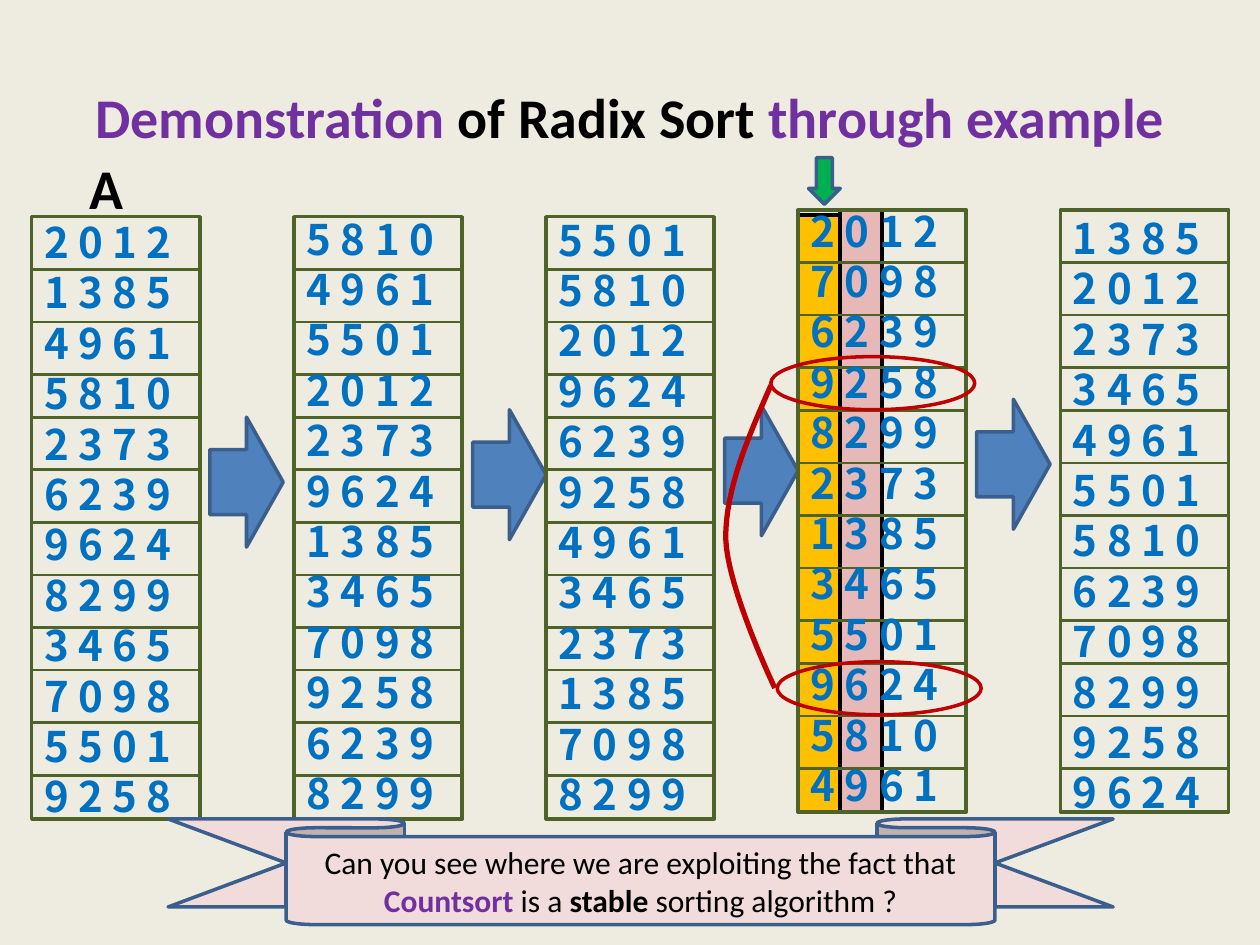
from itertools import accumulate
from lxml import etree
from pptx import Presentation
from pptx import util as u
from pptx.dml.color import RGBColor
from pptx.enum import shapes, text
from pptx.oxml.ns import qn

Cm, Pt = u.Cm, u.Pt
KIND = shapes.MSO_SHAPE
HUES = {
    "back": "EEECE1", "ink": "000000", "violet": "7030A0", "digit": "0070C0",
    "grid": "4F6228", "blue": "4F81BD", "edge": "3A5F8C", "green": "00B050",
    "gold": "FFC000", "pink": "E6B9B8", "pale": "F2DCDB", "red": "C00000",
}
WIDE, TALL = 3.39, 12.14
ROWS = [0.86 if row in (3, 8) else 1.06 for row in range(11)]

# Left, top, text shift and numbers of each pass
PASSES = [
    (0.64, 4.37, -0.13, "2012 1385 4961 5810 2373 6239 9624 8299 3465 7098 5501 9258"),
    (5.93, 4.37, -0.20, "5810 4961 5501 2012 2373 9624 1385 3465 7098 9258 6239 8299"),
    (11.01, 4.37, -0.18, "5501 5810 2012 9624 6239 9258 4961 3465 2373 1385 7098 8299"),
    (16.09, 4.23, -0.22, "2012 7098 6239 9258 8299 2373 1385 3465 5501 9624 5810 4961"),
    (21.38, 4.23, -0.07, "1385 2012 2373 3465 4961 5501 5810 6239 7098 8299 9258 9624"),
]


def hue(name):
    return RGBColor.from_string(HUES[name])


def style(part, fill, line, width):
    part.shadow.inherit = False
    if fill:
        part.fill.solid()
        part.fill.fore_color.rgb = hue(fill)
    else:
        part.fill.background()
    part.line.color.rgb = hue(line)
    part.line.width = Pt(width)


def draw(tree, kind, box, fill=None, line="edge", width=2):
    part = tree.add_shape(kind, *map(Cm, box))
    style(part, fill, line, width)
    return part


def write(para, runs, size):
    para.alignment = text.PP_ALIGN.CENTER
    para.font.size = Pt(size)
    para.font.name = "Calibri"
    for words, name, bold in runs:
        run = para.add_run()
        run.text = words
        run.font.color.rgb = hue(name)
        run.font.bold = bold


def label(tree, box, lines, size, face, name, wrap=True):
    frame = tree.add_textbox(*map(Cm, box)).text_frame
    frame.word_wrap = wrap
    frame.auto_size = text.MSO_AUTO_SIZE.SHAPE_TO_FIT_TEXT
    frame.text = "\n".join(lines)
    for para in frame.paragraphs:
        para.font.size = Pt(size)
        para.font.name = face
        para.font.bold = True
        para.font.color.rgb = hue(name)
    return frame


def grid(tree, left, top):
    group = tree.add_group_shape().shapes
    draw(group, KIND.RECTANGLE, (left, top, WIDE, TALL), line="grid")
    for drop in accumulate(ROWS):
        y = Cm(top + drop)
        rule = group.add_connector(
            shapes.MSO_CONNECTOR.STRAIGHT, Cm(left), y, Cm(left + WIDE), y)
        rule.line.color.rgb = hue("grid")
        rule.line.width = Pt(1.5)
        etree.SubElement(rule.element.spPr, qn("a:effectLst"))


def column(tree, left, top, shift, nums):
    grid(tree, left, top)
    lines = [" ".join(num) for num in nums.split()]
    frame = label(tree, (left, top + shift, 3.6, 12.57), lines, 24,
                  "Noto Sans CJK KR", "digit")
    for para in frame.paragraphs:
        para.line_spacing = Pt(28.8)


def curve(ends, steps=16):
    a, b, c, d = ends
    for step in range(1, steps + 1):
        t = step / steps
        s = 1 - t
        yield tuple(s**3 * i + 3 * s * s * t * j + 3 * s * t * t * k + t**3 * m
                    for i, j, k, m in zip(a, b, c, d))


def marks(tree, left, top):
    group = tree.add_group_shape().shapes
    for x, y in ((0.91, 0), (1.04, 6.15)):
        draw(group, KIND.OVAL, (left + x, top + y, 4.11, 1.07), line="red")
    start, mid, end = (0.91, 0.58), (0, 3.66), (0.99, 6.68)
    dots = [*curve((start, (0.46, 1.62), (0, 2.64), mid)),
            *curve((mid, (0.03, 4.67), (0.99, 6.68), end))]
    spots = [(Cm(left + x), Cm(top + y)) for x, y in [start, *dots]]
    pen = group.build_freeform(*spots[0])
    pen.add_line_segments(spots[1:], close=False)
    style(pen.convert_to_shape(), None, "red", 3)


def banner(tree, box):
    part = draw(tree, KIND.DOWN_RIBBON, box, "pale")
    part.adjustments[0], part.adjustments[1] = 0.167, 0.75
    frame = part.text_frame
    frame.word_wrap = True
    frame.vertical_anchor = text.MSO_ANCHOR.MIDDLE
    write(frame.paragraphs[0], [
        ("Can you see where we are exploiting the fact that ", "ink", False),
        ("Countsort ", "violet", True), ("is a ", "ink", False),
        ("stable", "ink", True), (" sorting algorithm ?", "ink", False)], 18)


def heading(title, box):
    title.left, title.top, title.width, title.height = map(Cm, box)
    title.text_frame.vertical_anchor = text.MSO_ANCHOR.MIDDLE
    write(title.text_frame.paragraphs[0], [
        ("Demonstration ", "violet", True), ("of Radix Sort", "ink", True),
        (" through example", "violet", True)], 32)


def radix(deck):
    slide = deck.slides.add_slide(deck.slide_layouts[5])
    slide.background.fill.solid()
    slide.background.fill.fore_color.rgb = hue("back")
    tree = slide.shapes
    heading(tree.title, (1.27, 0.76, 22.86, 3.18))
    # Highlighted digits and pointer
    draw(tree, KIND.RECTANGLE, (16.94, 4.23, 0.85, TALL), "pink", "ink", 2.25)
    draw(tree, KIND.RECTANGLE, (16.09, 4.34, 0.85, 12.03), "gold", "ink", 2.25)
    draw(tree, KIND.DOWN_ARROW, (16.3, 3.18, 0.64, 0.94), "green")
    # Arrows between passes
    for left, top in ((4.23, 8.41), (9.53, 8.26), (14.61, 8.18), (19.69, 8.05)):
        draw(tree, KIND.RIGHT_ARROW, (left, top, 1.48, 2.62), "blue")
    # Passes
    for item in PASSES:
        column(tree, *item)
    label(tree, (1.55, 2.97, 1.19, 1.62), ["A"], 32, "Calibri", "ink", False)
    # Question and stable pair
    banner(tree, (3.39, 16.51, 19.05, 2.13))
    marks(tree, 14.63, 7.19)


deck = Presentation()
deck.slide_width, deck.slide_height = Cm(25.4), Cm(19.05)
radix(deck)
deck.save("out.pptx")
